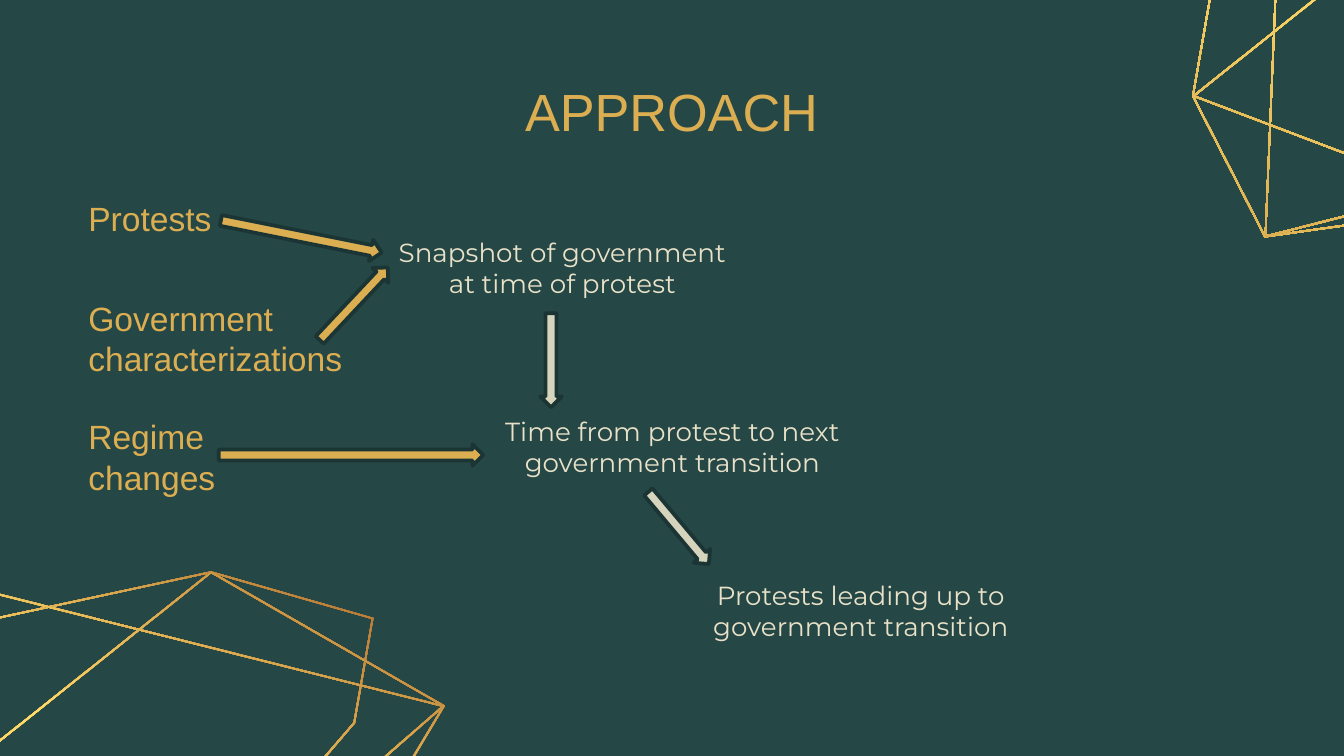
"""Builds the APPROACH slide: data sources flowing into three analysis steps."""
from math import hypot

from pptx import Presentation
from pptx import util as u
from pptx.dml.color import RGBColor
from pptx.enum import shapes, text
from pptx.oxml import parse_xml
from pptx.oxml.ns import nsdecls, qn

GREEN = RGBColor(0x25, 0x47, 0x46)
DARK = RGBColor(0x1B, 0x35, 0x34)
GOLD = RGBColor(0xDC, 0xAE, 0x52)
CREAM = RGBColor(0xE9, 0xE2, 0xC9)
SAND = RGBColor(0xD6, 0xD4, 0xBD)
BRONZE = RGBColor(0xAF, 0x71, 0x32)
YELLOW = RGBColor(0xFF, 0xDD, 0x6B)

TITLE = ("APPROACH", (5.54, 1.5, 14.3, 1.19))
SOURCE_LEFT, SOURCE_SIZE = 1.42, (6.53, 0.99)
MAIN_SOURCE = ("Protests", 3.76)
OTHER_SOURCES = [
    (["Government", "characterizations"], 5.38),
    (["Regime", "changes"], 7.62),
]
STEP_SIZE = (7.14, 2.03)
STEPS = [
    ("Snapshot of government at time of protest", 7.06, 4.04),
    ("Time from protest to next government transition", 9.14, 7.42),
    ("Protests leading up to government transition", 12.7, 10.52),
]
ARROW_WIDTH = 0.41
ARROWS = [
    (5.49, 2.92, 3.1, 281.3, GOLD),
    (6.48, 4.8, 1.88, 223.2, GOLD),
    (6.43, 6.1, 5, 270, GOLD),
    (10.21, 5.92, 1.78, 0, SAND),
    (12.62, 9.09, 1.78, 320, SAND),
]
FRAMES = [
    [(-2.72, 16.15), (-2.01, 12.09), (3.99, 10.8), (7.06, 11.68), (6.71, 13.67), (2.79, 18.24)],
    [(-1.35, 18.82), (-2.72, 16.15), (3.99, 10.8), (8.41, 13.34), (2.79, 18.24)],
    [(-1.35, 18.82), (-1.02, 10.97), (8.41, 13.34), (6.3, 16.87)],
]
FRAME_SHIFTS = [(0, 0), (25.25, -14.33)]
FRAME_WIDTH = 0.03
GRADIENT = [(0, BRONZE), (50, YELLOW), (100, GOLD)]
GRADIENT_ANGLE = 121.4


def inset(points, depth):
    """Moves every side of a clockwise polygon inwards by depth."""
    normals = []
    for (x1, y1), (x2, y2) in zip(points, points[1:] + points[:1]):
        length = hypot(x2 - x1, y2 - y1)
        normals.append(((y1 - y2) / length, (x2 - x1) / length))
    inner = []
    for (x, y), (ax, ay), (bx, by) in zip(points, normals[-1:] + normals, normals):
        reach = depth / (1 + ax * bx + ay * by)
        inner.append((x + reach * (ax + bx), y + reach * (ay + by)))
    return inner


def add_frame(page, points):
    """Adds a thin polygon frame with a gradient fill."""
    outer, inner = (
        [(u.Cm(x), u.Cm(y)) for x, y in ring]
        for ring in (points, inset(points, FRAME_WIDTH)[::-1])
    )
    builder = page.shapes.build_freeform(*outer[0])
    builder.add_line_segments(outer[1:], close=True)
    builder.move_to(*inner[0])
    builder.add_line_segments(inner[1:], close=True)
    frame = builder.convert_to_shape()
    frame.shadow.inherit = False
    frame.line.fill.background()
    frame.fill.background()
    stops = "".join(
        f'<a:gs pos="{place * 1000}"><a:srgbClr val="{color}"/></a:gs>'
        for place, color in GRADIENT
    )
    gradient = parse_xml(
        f'<a:gradFill {nsdecls("a")} rotWithShape="1"><a:gsLst>{stops}</a:gsLst>'
        f'<a:lin ang="{round(GRADIENT_ANGLE * 60000)}" scaled="0"/></a:gradFill>'
    )
    properties = frame.element.spPr
    properties.replace(properties.find(qn("a:noFill")), gradient)


def place(box, left, top, width, height):
    box.left, box.top, box.width, box.height = map(u.Cm, (left, top, width, height))


def write(box, lines, size, font, color, align, anchor):
    """Fills a box with one plain, unbulleted paragraph per line."""
    frame = box.text_frame
    frame.word_wrap = True
    frame.auto_size = text.MSO_AUTO_SIZE.NONE
    frame.vertical_anchor = anchor
    frame.margin_left = frame.margin_right = u.Cm(0.25)
    frame.margin_top = frame.margin_bottom = u.Cm(0.25)
    for index, line in enumerate(lines):
        para = frame.add_paragraph() if index else frame.paragraphs[0]
        para.alignment = align
        para.space_before = u.Pt(0)
        settings = para._p.get_or_add_pPr()
        settings.set("marL", "0")
        settings.set("indent", "0")
        settings.append(parse_xml(f'<a:buNone {nsdecls("a")}/>'))
        span = para.add_run()
        span.text = line
        span.font.size = u.Pt(size)
        span.font.name = font
        span.font.bold = False
        span.font.color.rgb = color


def add_arrow(page, left, top, length, angle, color):
    arrow = page.shapes.add_shape(
        shapes.MSO_SHAPE.DOWN_ARROW, u.Cm(left), u.Cm(top), u.Cm(ARROW_WIDTH), u.Cm(length)
    )
    arrow.rotation = angle
    arrow.shadow.inherit = False
    arrow.fill.solid()
    arrow.fill.fore_color.rgb = color
    arrow.line.color.rgb = DARK
    arrow.line.width = u.Pt(2)


def main():
    deck = Presentation()
    deck.slide_width, deck.slide_height = u.Cm(25.4), u.Cm(14.29)
    page = deck.slides.add_slide(deck.slide_layouts.get_by_name("Comparison"))
    page.background.fill.solid()
    page.background.fill.fore_color.rgb = GREEN

    for dx, dy in FRAME_SHIFTS:
        for points in FRAMES:
            add_frame(page, [(x + dx, y + dy) for x, y in points])

    left, center = text.PP_ALIGN.LEFT, text.PP_ALIGN.CENTER
    top, middle, bottom = (
        text.MSO_ANCHOR.TOP, text.MSO_ANCHOR.MIDDLE, text.MSO_ANCHOR.BOTTOM
    )
    title, source, *step_boxes = list(page.placeholders)[:5]

    heading, area = TITLE
    place(title, *area)
    write(title, [heading], 28, "Arial", GOLD, center, middle)

    label, offset = MAIN_SOURCE
    place(source, SOURCE_LEFT, offset, *SOURCE_SIZE)
    write(source, [label], 18, "Arial", GOLD, left, bottom)

    for lines, offset in OTHER_SOURCES:
        box = page.shapes.add_textbox(0, 0, 0, 0)
        place(box, SOURCE_LEFT, offset, *SOURCE_SIZE)
        write(box, lines, 18, "Arial", GOLD, left, top)

    for box, (label, x, y) in zip(step_boxes, STEPS):
        place(box, x, y, *STEP_SIZE)
        box.line.color.rgb = GREEN
        box.line.width = u.Pt(0.75)
        write(box, [label], 14, "Montserrat", CREAM, center, middle)

    for arrow in ARROWS:
        add_arrow(page, *arrow)

    deck.save("out.pptx")


if __name__ == "__main__":
    main()
